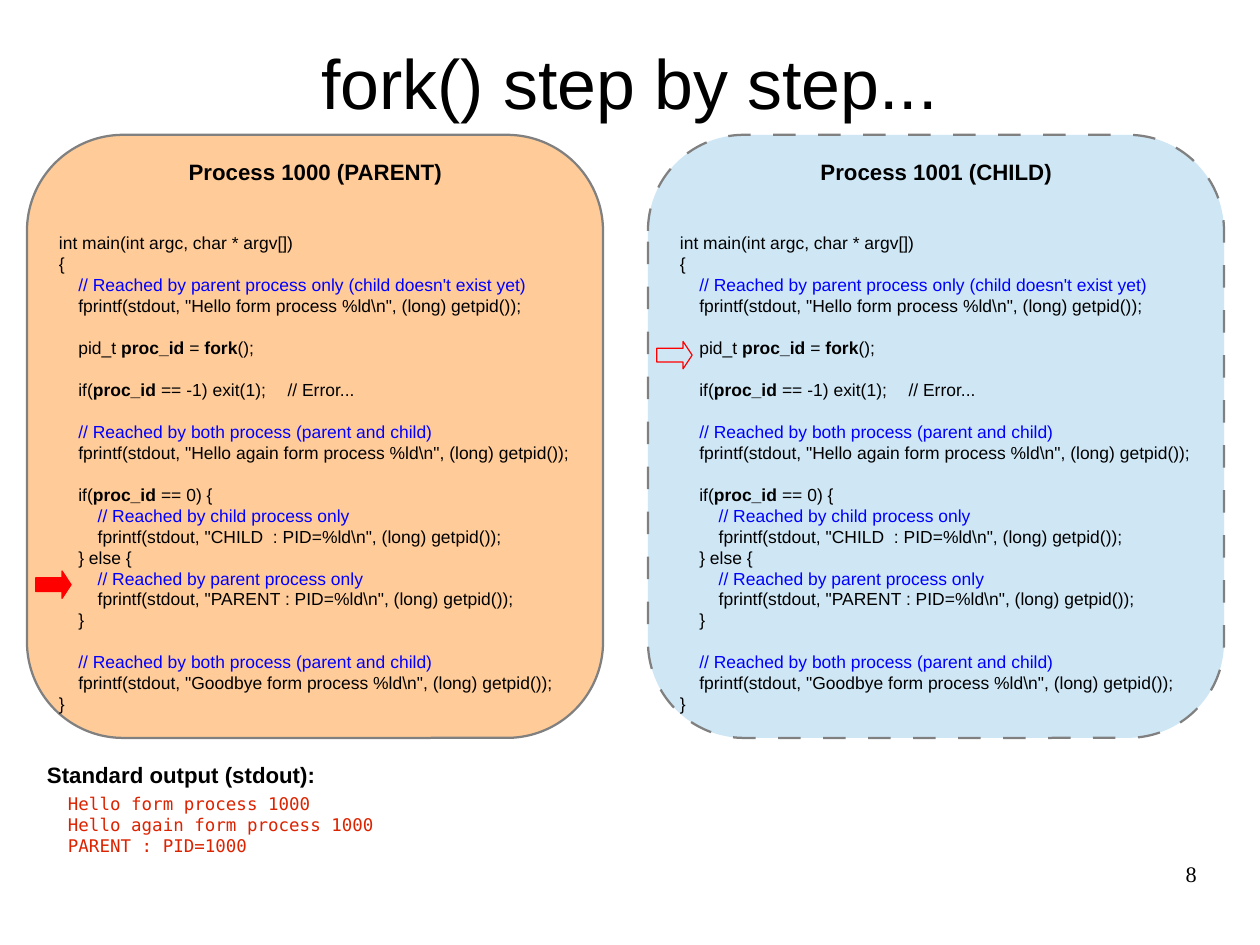
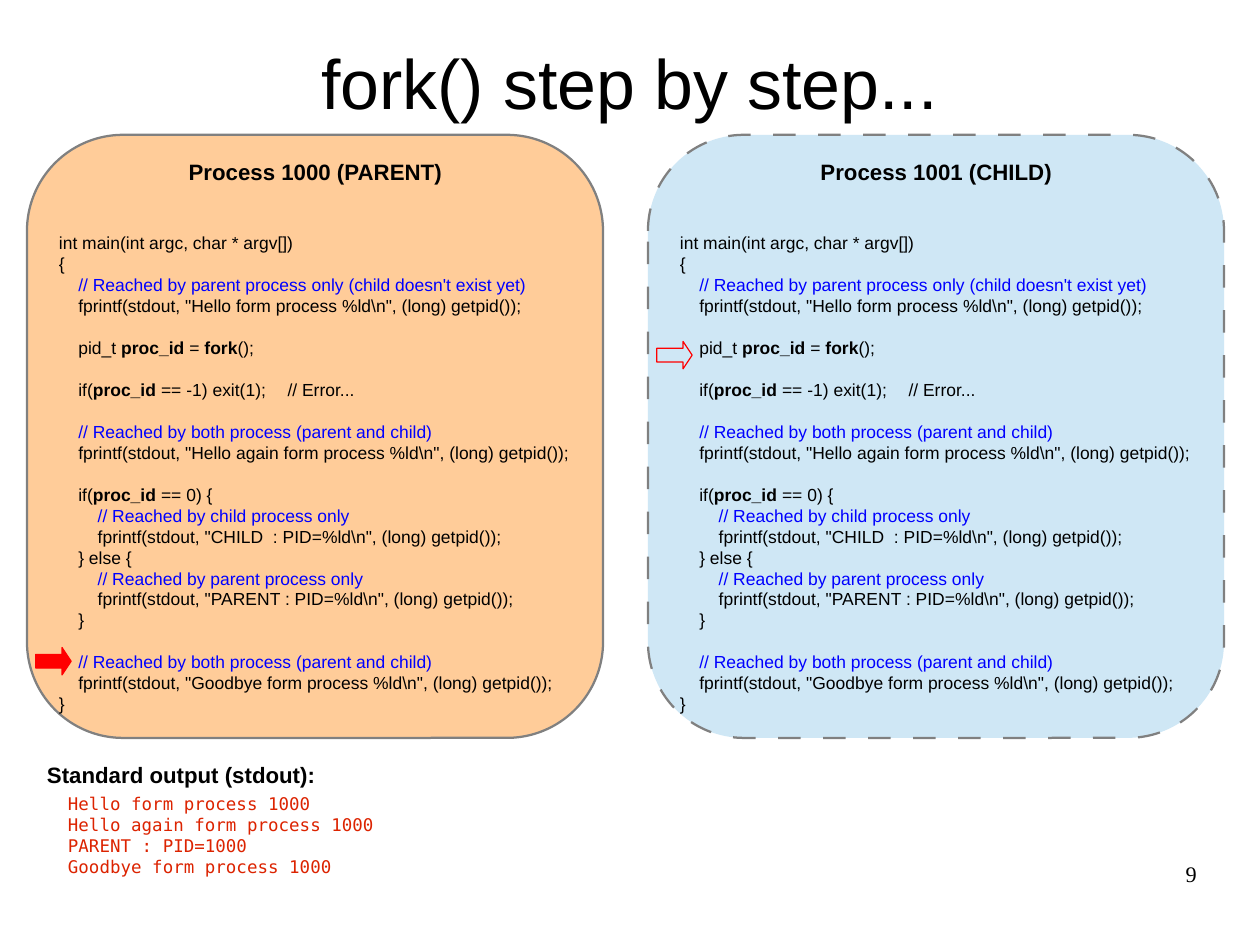
from dataclasses import dataclass
from lxml.etree import SubElement
from pptx import Presentation
from pptx.dml.color import RGBColor
from pptx.enum.shapes import MSO_SHAPE
from pptx.enum.text import MSO_ANCHOR, MSO_AUTO_SIZE, PP_ALIGN
from pptx.oxml.ns import qn
from pptx.util import Pt


@dataclass(frozen=True)
class Theme:
    black: str = "000000"
    comment: str = "0000FF"
    output: str = "DC2300"
    arrow: str = "FF0000"
    outline: str = "808080"
    parent: str = "FFCC99"
    child: str = "CFE7F5"
    sans: str = "Arial"
    mono: str = "DejaVu Sans Mono"
    serif: str = "Times New Roman"
    title: int = 44
    heading: int = 14
    code: int = 11


T = Theme()
LINE = 13.2
INDENT = 12.23
ERROR_TAB = 153.7

CODE = r"""int main(int argc, char * argv[])
{
    // Reached by parent process only (child doesn't exist yet)
    fprintf(stdout, "Hello form process %ld\n", (long) getpid());

    pid_t `proc_id` = `fork`();

    if(`proc_id` == -1) exit(1);|// Error...

    // Reached by both process (parent and child)
    fprintf(stdout, "Hello again form process %ld\n", (long) getpid());

    if(`proc_id` == 0) {
        // Reached by child process only
        fprintf(stdout, "CHILD  : PID=%ld\n", (long) getpid());
    } else {
        // Reached by parent process only
        fprintf(stdout, "PARENT : PID=%ld\n", (long) getpid());
    }

    // Reached by both process (parent and child)
    fprintf(stdout, "Goodbye form process %ld\n", (long) getpid());
}"""

OUTPUT = ["Hello form process 1000", "Hello again form process 1000",
          "PARENT : PID=1000", "Goodbye form process 1000"]

PANELS = [
    ("Process 1000 (PARENT)", 17, T.parent, False),
    ("Process 1001 (CHILD)", 408.2, T.child, True),
]

STEPS = [(8, 359.7, 3), (9, 407.9, 4)]


def add_text(tf, text, size=T.code, font=T.sans, color=T.black, bold=False,
             align=PP_ALIGN.LEFT, before=0, indent=0, tab=None):
    p = tf.paragraphs[0]
    if p.runs:
        p = tf.add_paragraph()
    p.alignment = align
    p.space_before = Pt(before)
    pPr = p._p.get_or_add_pPr()
    pPr.set("marL", "0")
    pPr.set("indent", str(Pt(indent)))
    if tab:
        tabs = SubElement(pPr, qn("a:tabLst"))
        SubElement(tabs, qn("a:tab"), pos=str(Pt(tab)), algn="l")
    for i, part in enumerate(text.split("`")):
        if part:
            r = p.add_run()
            r.text = part
            r.font.size = Pt(size)
            r.font.name = font
            r.font.bold = bold or i % 2 == 1
            r.font.color.rgb = RGBColor.from_string(color)


def add_box(s, kind, left, top, width, height, fill, line, weight):
    sp = s.shapes.add_shape(kind, Pt(left), Pt(top), Pt(width), Pt(height))
    sp.shadow.inherit = False
    if fill:
        sp.fill.solid()
        sp.fill.fore_color.rgb = RGBColor.from_string(fill)
    else:
        sp.fill.background()
    sp.line.color.rgb = RGBColor.from_string(line)
    sp.line.width = Pt(weight)
    return sp


prs = Presentation()
prs.slide_width, prs.slide_height = Pt(793.7), Pt(595.28)
prs.element.find(qn("p:sldSz")).attrib.pop("type", None)

for number, arrow_top, printed in STEPS:
    s = prs.slides.add_slide(prs.slide_layouts[5])

    title = s.shapes.title
    title.left, title.top = Pt(39.7), Pt(23.76)
    title.width, title.height = Pt(714.3), Pt(55.44)
    tf = title.text_frame
    tf.auto_size = MSO_AUTO_SIZE.NONE
    tf.vertical_anchor = MSO_ANCHOR.MIDDLE
    tf.margin_left = tf.margin_right = tf.margin_top = tf.margin_bottom = 0
    add_text(tf, "fork() step by step...", size=T.title, align=PP_ALIGN.CENTER)

    for name, left, fill, dashed in PANELS:
        panel = add_box(s, MSO_SHAPE.ROUNDED_RECTANGLE, left, 84.96, 362.88, 379.9,
                        fill, T.outline, 1.42)
        panel.adjustments[0] = 0.1667
        if dashed:
            dash = SubElement(panel.line._get_or_add_ln(), qn("a:custDash"))
            SubElement(dash, qn("a:ds"), d="1000000", sp="1000000")
        tf = panel.text_frame
        tf.word_wrap = True
        tf.vertical_anchor = MSO_ANCHOR.MIDDLE
        tf.margin_left, tf.margin_right = Pt(2.4), Pt(2)
        tf.margin_top = tf.margin_bottom = 0
        add_text(tf, name, size=T.heading, bold=True, align=PP_ALIGN.CENTER)
        gap = 29.6
        for line in CODE.splitlines():
            code = line.lstrip()
            if not code:
                gap = LINE
                continue
            level = (len(line) - len(code)) // 4
            add_text(tf, code.replace("|", "\t"), before=gap, indent=level * INDENT,
                     color=T.comment if code.startswith("//") else T.black,
                     tab=ERROR_TAB if "|" in code else None)
            gap = 0

    for left, top, fill in [(22.5, arrow_top, T.arrow), (413.7, 215.1, None)]:
        arrow = add_box(s, MSO_SHAPE.RIGHT_ARROW, left, top, 22.32, 17.28, fill, T.arrow, 0)
        arrow.adjustments[0], arrow.adjustments[1] = 0.5, 0.33

    stdout = s.shapes.add_textbox(Pt(22.5), Pt(475.92), Pt(753.84), Pt(96.48))
    tf = stdout.text_frame
    tf.word_wrap = True
    add_text(tf, "Standard output (stdout):", size=T.heading, bold=True)
    for i, line in enumerate(OUTPUT[:printed]):
        add_text(tf, line, font=T.mono, color=T.output, indent=13.24,
                 before=0 if i else 3.5)

    page = s.shapes.add_textbox(Pt(568.8), Pt(542.16), Pt(185.04), Pt(41.04))
    tf = page.text_frame
    tf.word_wrap = True
    tf.margin_left = tf.margin_right = tf.margin_top = tf.margin_bottom = 0
    add_text(tf, str(number), size=T.heading, font=T.serif, align=PP_ALIGN.RIGHT)

prs.save("out.pptx")
